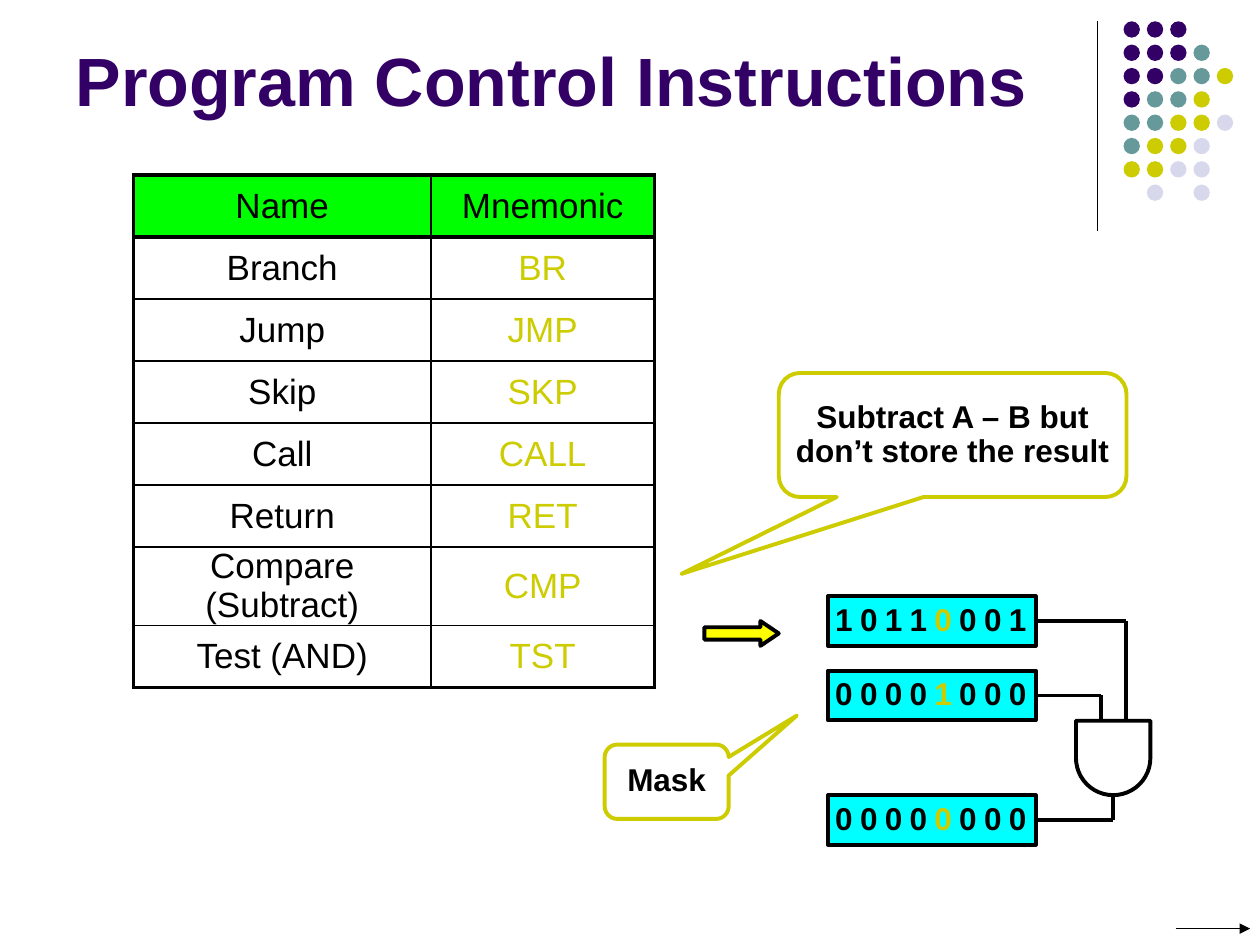
import lxml.etree
import pptx
import pptx.dml.color
import pptx.enum.shapes
import pptx.enum.text
import pptx.oxml.ns
import pptx.util

Cm, Pt = pptx.util.Cm, pptx.util.Pt
color = pptx.dml.color.RGBColor.from_string
qn = pptx.oxml.ns.qn
SHAPE = pptx.enum.shapes.MSO_SHAPE
ALIGN = pptx.enum.text.PP_ALIGN
MIDDLE = pptx.enum.text.MSO_ANCHOR.MIDDLE

BLACK, PURPLE, TEAL, OLIVE, LAVENDER = "000000", "330066", "669999", "CCCC00", "D8D8EC"
GREEN, CYAN, YELLOW = "00FF00", "00FFFF", "FFFF00"


def write(frame, text, size, text_color, bold, align, spacing=None):
    frame.word_wrap = True
    paragraph = frame.paragraphs[0]
    paragraph.alignment = align
    paragraph.line_spacing = spacing
    run = paragraph.add_run()
    run.text = text
    run.font.name = "Arial"
    run.font.size = Pt(size)
    run.font.bold = bold
    run.font.color.rgb = color(text_color)


def add_shape(kind, left, top, width, height, fill=None, line=None):
    """Add a preset shape, placed in centimetres, without shadow."""
    shape = slide.shapes.add_shape(kind, Cm(left), Cm(top), Cm(width), Cm(height))
    shape.shadow.inherit = False
    if fill:
        shape.fill.solid()
        shape.fill.fore_color.rgb = color(fill)
    else:
        shape.fill.background()
    if line:
        shape.line.color.rgb = color(line)
        shape.line.width = Pt(2.25)
    else:
        shape.line.fill.background()
    return shape


presentation = pptx.Presentation()
presentation.slide_width, presentation.slide_height = Cm(25.4), Cm(19.05)
slide = presentation.slides.add_slide(presentation.slide_layouts[5])

# Title
title = slide.shapes.title
title.left, title.top, title.width, title.height = Cm(1.27), Cm(0.33), Cm(20.96), Cm(2.21)
title.text_frame.vertical_anchor = pptx.enum.text.MSO_ANCHOR.BOTTOM
write(title.text_frame, "Program Control Instructions", 39, PURPLE, True, ALIGN.LEFT)

# Corner dots
dot_colors = {"P": PURPLE, "T": TEAL, "O": OLIVE, "L": LAVENDER}
dot_rows = ["PPP", "PPPT", "PPTTO", "PTTO", "TTOOL", "TOOL", "OOLL", ".L.L"]
for row, dots in enumerate(dot_rows):
    for column, dot in enumerate(dots):
        if dot in dot_colors:
            add_shape(SHAPE.OVAL, 22.65 + 0.47 * column, 0.43 + 0.47 * row,
                      0.33, 0.33, dot_colors[dot])

# Instruction table
instructions = [
    ("Name", "Mnemonic"), ("Branch", "BR"), ("Jump", "JMP"), ("Skip", "SKP"),
    ("Call", "CALL"), ("Return", "RET"), ("Compare (Subtract)", "CMP"), ("Test (AND)", "TST"),
]
last_row = len(instructions) - 1
table = slide.shapes.add_table(len(instructions), 2, Cm(2.69), Cm(3.53), Cm(10.5), Cm(10)).table
table.horz_banding = False
table.columns[0].width, table.columns[1].width = Cm(6), Cm(4.5)
for row, names in enumerate(instructions):
    table.rows[row].height = Cm(1.25)
    for column, name in enumerate(names):
        cell = table.cell(row, column)
        cell.margin_left = cell.margin_right = cell.margin_top = cell.margin_bottom = 0
        cell.vertical_anchor = MIDDLE
        text_color = OLIVE if row and column else BLACK
        write(cell.text_frame, name, 20, text_color, False, ALIGN.CENTER)
        thick_sides = {"lnL": column == 0, "lnR": column == 1,
                       "lnT": row < 2, "lnB": row in (0, last_row)}
        properties = cell._tc.get_or_add_tcPr()
        for side, thick in thick_sides.items():
            border = lxml.etree.SubElement(properties, qn("a:" + side),
                                           w=str(Pt(2.25 if thick else 1)))
            border_fill = lxml.etree.SubElement(border, qn("a:solidFill"))
            lxml.etree.SubElement(border_fill, qn("a:srgbClr"), val=BLACK)
        if row == 0:
            cell.fill.solid()
            cell.fill.fore_color.rgb = color(GREEN)
        else:
            cell.fill.background()

# Callouts
callouts = [
    ("Subtract A – B but don’t store the result", 15.7, 7.52, 7.01, 2.5, (-0.78, 1.12, 0.17)),
    ("Mask", 12.19, 15.01, 2.5, 1.5, (1.05, -0.89, 0.17)),
]
for text, left, top, width, height, adjustments in callouts:
    callout = add_shape(SHAPE.ROUNDED_RECTANGULAR_CALLOUT, left, top, width, height, line=OLIVE)
    for index, adjustment in enumerate(adjustments):
        callout.adjustments[index] = adjustment
    frame = callout.text_frame
    frame.margin_left = frame.margin_right = frame.margin_top = frame.margin_bottom = 0
    frame.vertical_anchor = MIDDLE
    write(frame, text, 18, BLACK, True, ALIGN.CENTER, 0.9)

# Registers, with the tested bit highlighted
register_left, bit_width, tested_bit = 16.69, 0.5, 4
for top, bits in [(12.02, "10110001"), (13.52, "00001000"), (16.03, "00000000")]:
    add_shape(SHAPE.RECTANGLE, register_left, top, 4.19, 1, CYAN, BLACK)
    for index, bit in enumerate(bits):
        box = slide.shapes.add_textbox(Cm(register_left + bit_width * index), Cm(top),
                                       Cm(bit_width), Cm(1))
        frame = box.text_frame
        frame.margin_left = frame.margin_right = frame.margin_top = frame.margin_bottom = 0
        frame.vertical_anchor = MIDDLE
        write(frame, bit, 18, OLIVE if index == tested_bit else BLACK, True, ALIGN.RIGHT, 0.9)

# AND gate and pointer to the example
gate = add_shape(SHAPE.FLOWCHART_DELAY, 21.69, 14.53, 1.5, 1.5, line=BLACK)
gate.rotation = 90
pointer = add_shape(SHAPE.RIGHT_ARROW, 14.2, 12.52, 1.5, 0.5, YELLOW, BLACK)
pointer.adjustments[1] = 0.74

# Wires, title divider and closing arrow
lines = [
    (20.88, 14.02, 22.2, 14.02, 2.25, False),
    (22.2, 14.53, 22.2, 14.02, 2.25, False),
    (22.7, 14.53, 22.7, 12.52, 2.25, False),
    (20.88, 12.52, 22.7, 12.52, 2.25, False),
    (22.43, 16.53, 22.43, 16.03, 2.25, False),
    (20.88, 16.53, 22.43, 16.53, 2.25, False),
    (22.12, 0.43, 22.12, 4.65, 0.75, False),
    (23.7, 18.72, 25.2, 18.72, 0.75, True),
]
for start_x, start_y, end_x, end_y, width, has_arrow in lines:
    connector = slide.shapes.add_connector(pptx.enum.shapes.MSO_CONNECTOR.STRAIGHT,
                                           Cm(start_x), Cm(start_y), Cm(end_x), Cm(end_y))
    connector.line.color.rgb = color(BLACK)
    connector.line.width = Pt(width)
    if has_arrow:
        lxml.etree.SubElement(connector.line._get_or_add_ln(), qn("a:tailEnd"), type="triangle")
    lxml.etree.SubElement(connector._element.spPr, qn("a:effectLst"))

presentation.save("out.pptx")
